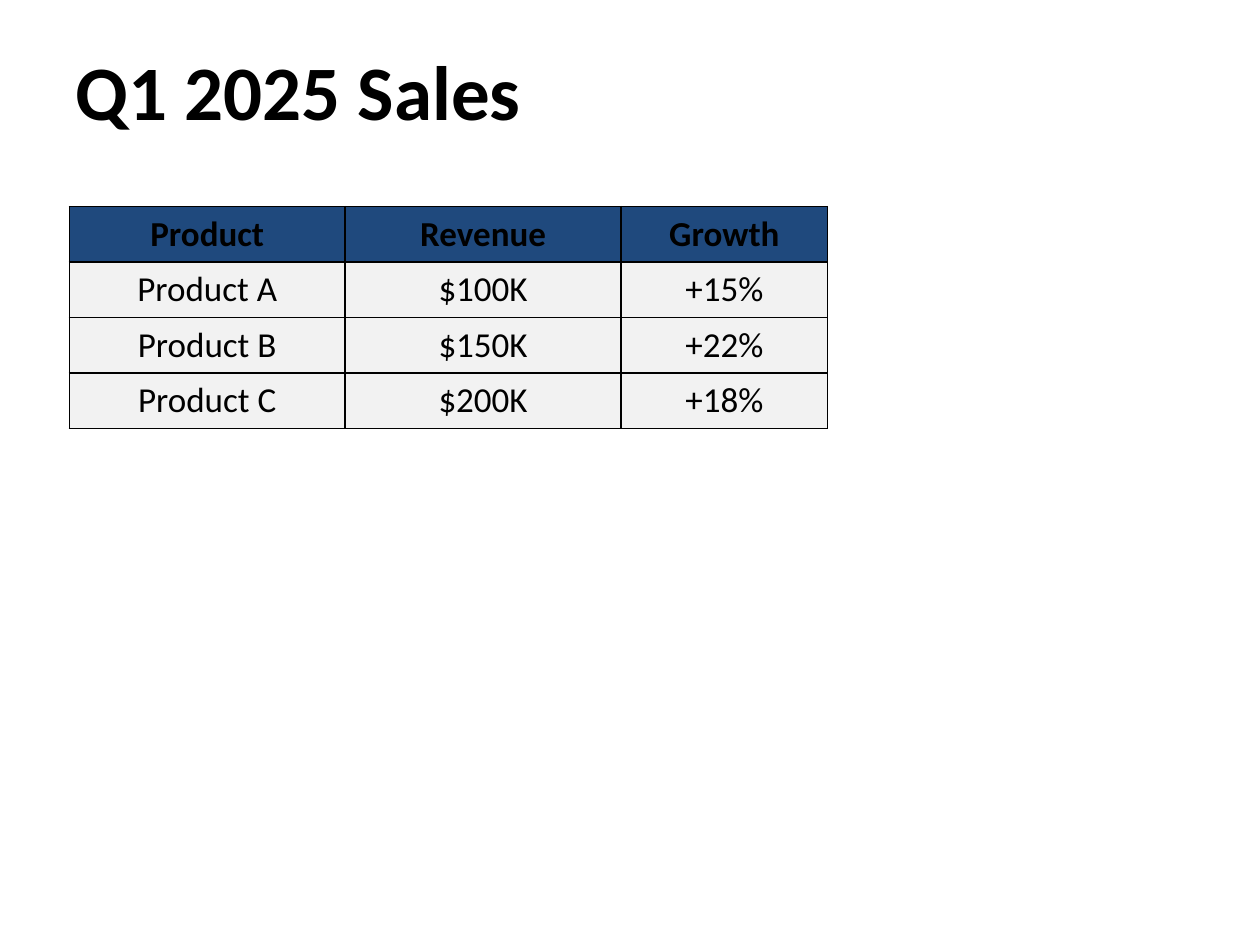
"""Build the Q1 2025 sales slide with its product table."""
from lxml import etree
from pptx import Presentation
from pptx.dml.color import RGBColor
from pptx.enum.text import MSO_ANCHOR, PP_ALIGN
from pptx.oxml.ns import qn
from pptx.util import Inches, Pt

MIDDLE = MSO_ANCHOR.MIDDLE
TOP = MSO_ANCHOR.TOP
CENTER = PP_ALIGN.CENTER
COLORS = {"text": "000000", "head": "1F497D", "body": "F2F2F2", "line": "000000"}
ROWS = [
    ("Product", "Revenue", "Growth"),
    ("Product A", "$100K", "+15%"),
    ("Product B", "$150K", "+22%"),
    ("Product C", "$200K", "+18%"),
]
WIDTHS = [2.19, 2.19, 1.64]
HEIGHT = 0.44


def style(para, size, bold):
    for run in para.runs:
        run.font.name = "Calibri"
        run.font.size = Pt(size)
        run.font.bold = bold
        run.font.color.rgb = RGBColor.from_string(COLORS["text"])


def border(cell):
    props = cell._tc.get_or_add_tcPr()
    for index, side in enumerate(("a:lnL", "a:lnR", "a:lnT", "a:lnB")):
        line = etree.Element(qn(side), w=str(Pt(1)))
        fill = etree.SubElement(line, qn("a:solidFill"))
        etree.SubElement(fill, qn("a:srgbClr"), val=COLORS["line"])
        props.insert(index, line)


prs = Presentation()
prs.slide_width, prs.slide_height = Inches(10), Inches(7.5)
slide = prs.slides.add_slide(prs.slide_layouts[6])

title = slide.shapes.add_textbox(Inches(0.5), Inches(0.3), Inches(9), Inches(1.25))
frame = title.text_frame
frame.word_wrap = True
frame.vertical_anchor = TOP
frame.text = "Q1 2025 Sales"
style(frame.paragraphs[0], 44, True)

table = slide.shapes.add_table(
    len(ROWS), len(WIDTHS), Inches(0.55), Inches(1.64),
    Inches(sum(WIDTHS)), Inches(HEIGHT * len(ROWS)),
).table
table.horz_banding = False
for col, width in zip(table.columns, WIDTHS):
    col.width = Inches(width)
for r, row in enumerate(ROWS):
    table.rows[r].height = Inches(HEIGHT)
    for c, text in enumerate(row):
        cell = table.cell(r, c)
        cell.vertical_anchor = MIDDLE
        cell.fill.solid()
        shade = COLORS["head" if r == 0 else "body"]
        cell.fill.fore_color.rgb = RGBColor.from_string(shade)
        border(cell)
        para = cell.text_frame.paragraphs[0]
        para.text = text
        para.alignment = CENTER
        style(para, 20, r == 0)

prs.save("out.pptx")
